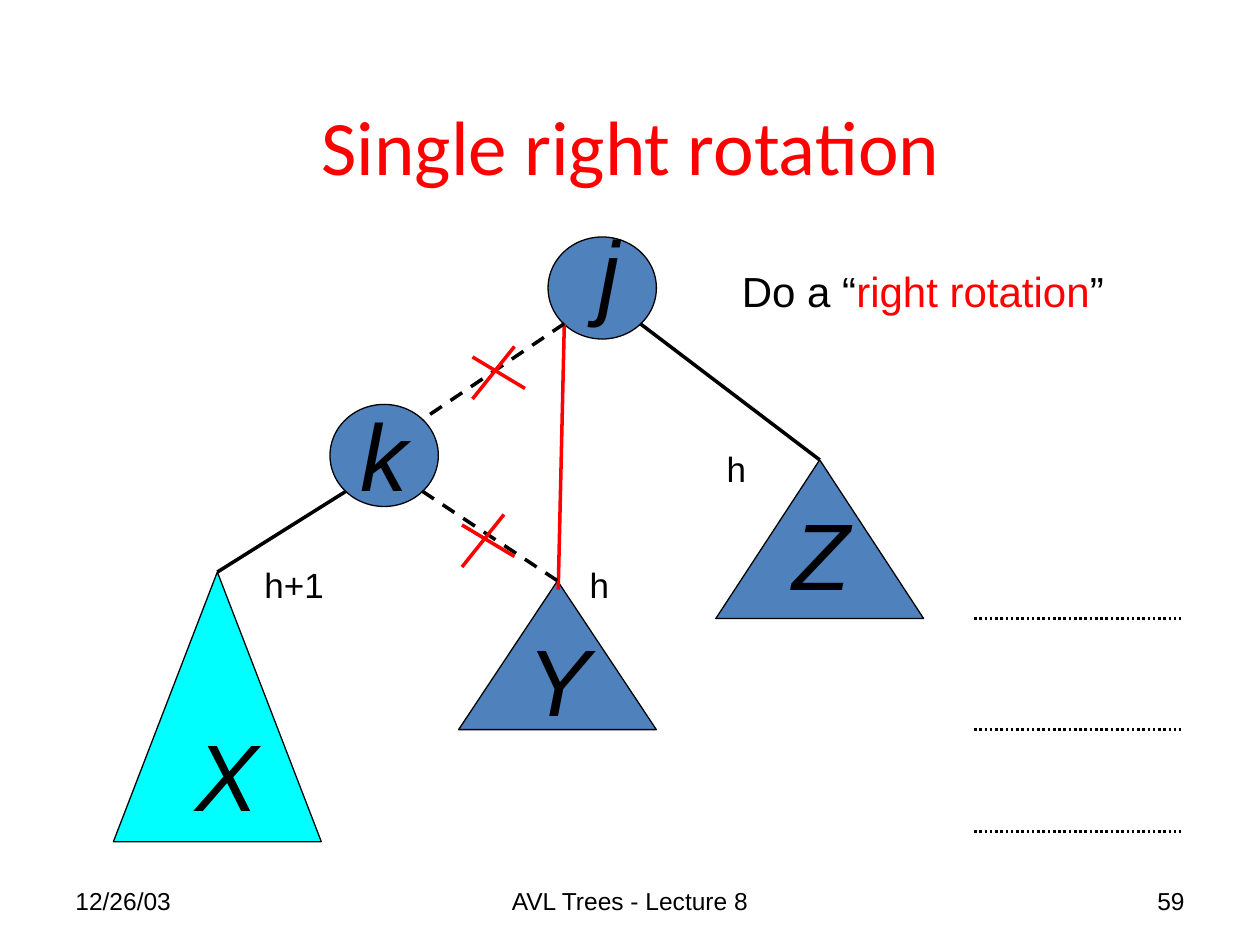
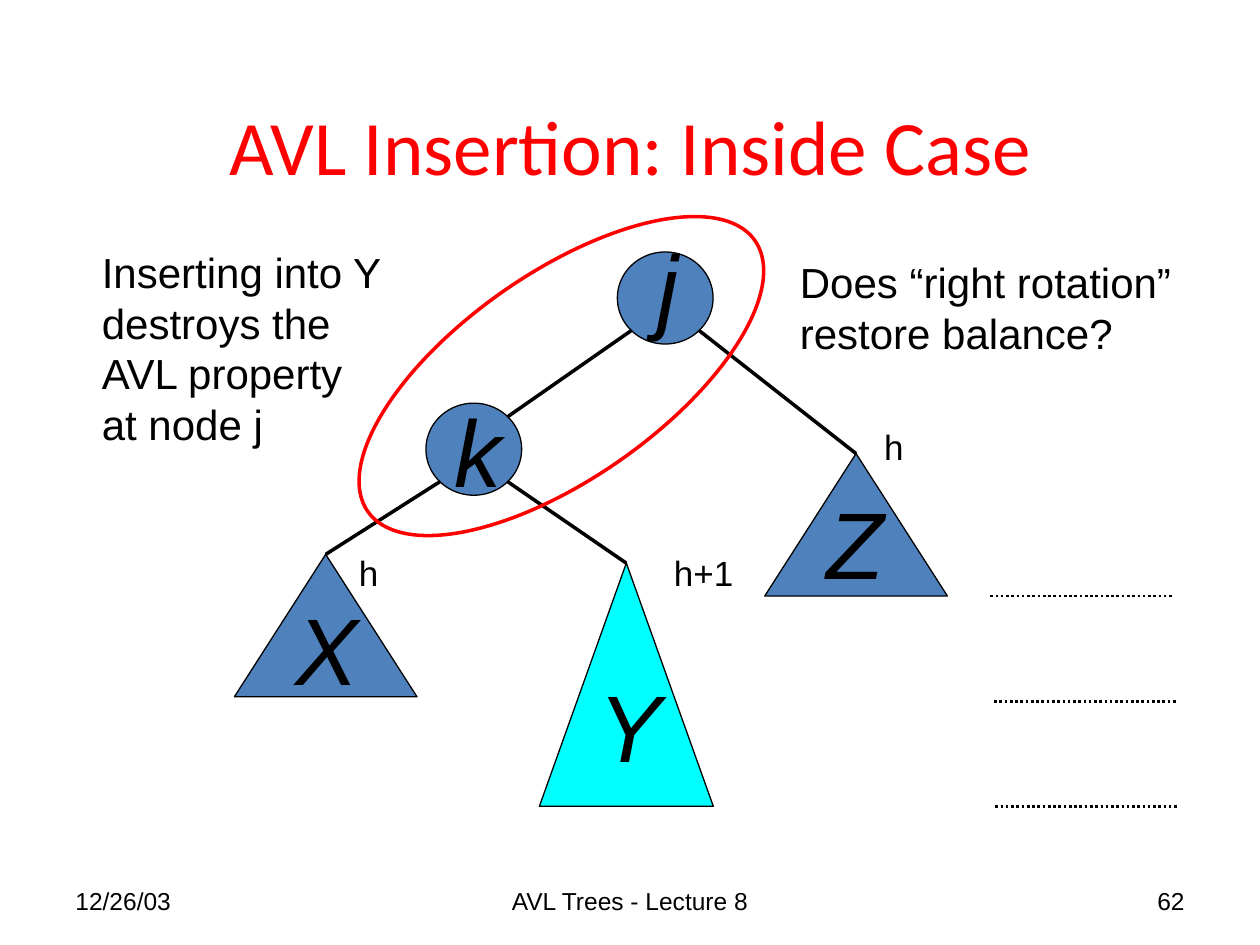
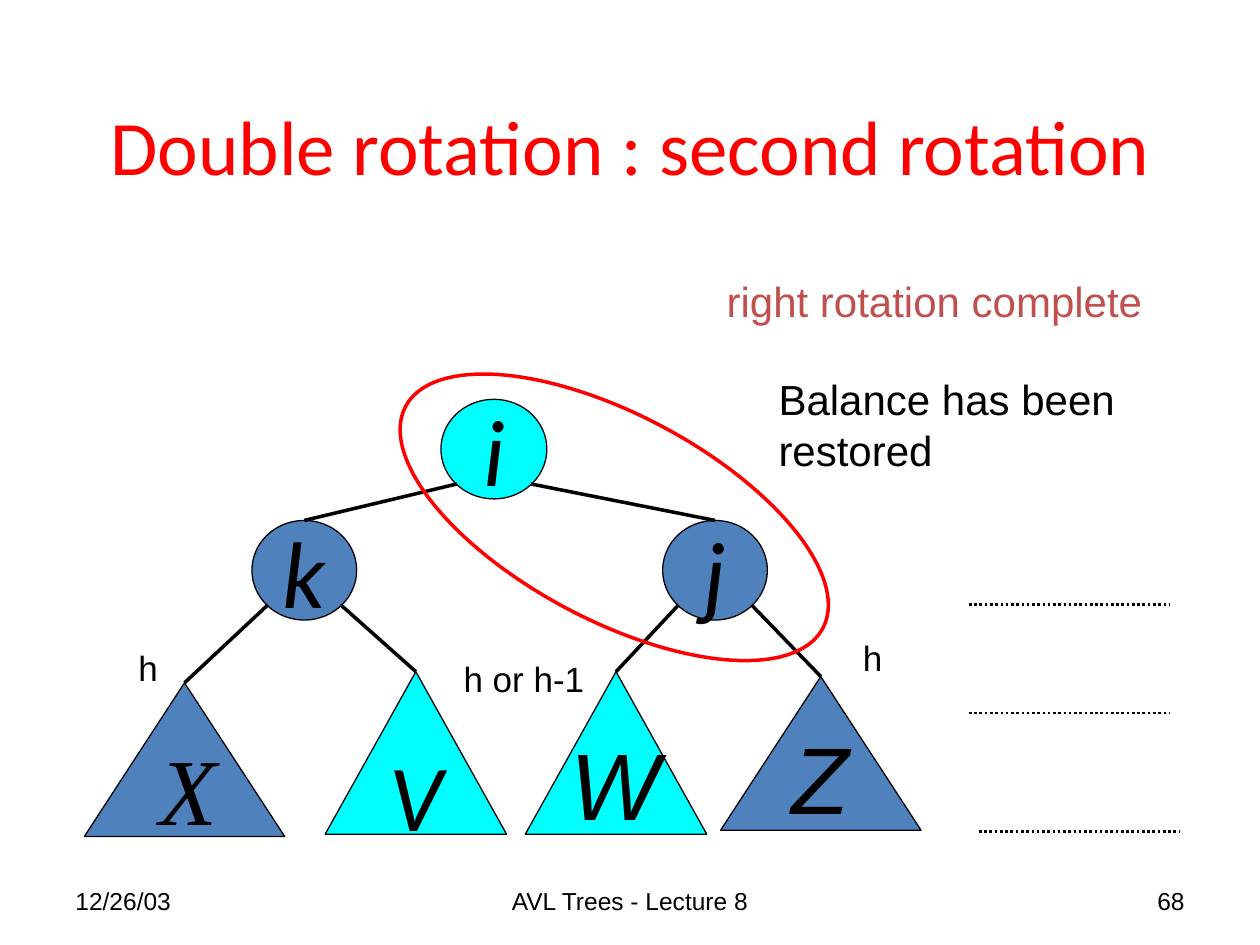
from lxml.etree import SubElement
from pptx import Presentation
from pptx.dml.color import RGBColor
from pptx.enum.dml import MSO_LINE
from pptx.enum.shapes import MSO_CONNECTOR, MSO_SHAPE
from pptx.enum.text import MSO_ANCHOR, MSO_AUTO_SIZE, PP_ALIGN
from pptx.oxml.ns import qn
from pptx.util import Pt

BLACK = RGBColor(0x00, 0x00, 0x00)
RED = RGBColor(0xFF, 0x00, 0x00)
BRICK = RGBColor(0xC0, 0x50, 0x4D)
BLUE = RGBColor(0x4F, 0x81, 0xBD)
CYAN = RGBColor(0x00, 0xFF, 0xFF)

SITES = {
    "top": (0.5, 0),
    "left foot": (0.15, 0.85),
    "right foot": (0.85, 0.85),
    "right shoulder": (0.85, 0.15),
}
FIXED = {"word_wrap": True, "vertical_anchor": MSO_ANCHOR.MIDDLE}
GROWING = {"word_wrap": True, "auto_size": MSO_AUTO_SIZE.SHAPE_TO_FIT_TEXT}
FREE = {"word_wrap": False, "auto_size": MSO_AUTO_SIZE.SHAPE_TO_FIT_TEXT}
CENTRED = {"word_wrap": False, "vertical_anchor": MSO_ANCHOR.MIDDLE}


def apply(target, values):
    for name, value in values.items():
        setattr(target, name, value)


def site(shape, name):
    across, down = SITES[name]
    return (int(shape.left + across * shape.width),
            int(shape.top + down * shape.height))


class TreeDeck:
    def __init__(self):
        self.presentation = Presentation()
        apply(self.presentation, {"slide_width": Pt(720), "slide_height": Pt(540)})
        self.slide = None

    def start(self, title, number):
        layout = self.presentation.slide_layouts[6]
        self.slide = self.presentation.slides.add_slide(layout)
        footers = (
            ("12/26/03", 36, 168, PP_ALIGN.LEFT),
            ("AVL Trees - Lecture 8", 246, 228, PP_ALIGN.CENTER),
            (number, 516, 168, PP_ALIGN.RIGHT),
        )
        for words, left, width, align in footers:
            self.label([words], (left, 500.4, width, 28.8), 14, FIXED, align=align)
        self.label([title], (52.6, 51.1, 615.6, 63.4), 44, FIXED, RED,
                   "Calibri", PP_ALIGN.CENTER)

    def fill_text(self, frame, lines, size, layout, color=BLACK, font="Arial",
                  align=PP_ALIGN.LEFT, italic=False, before=0):
        apply(frame, layout)
        for index, line in enumerate(lines):
            paragraph = frame.add_paragraph() if index else frame.paragraphs[0]
            apply(paragraph, {"alignment": align, "space_before": Pt(before)})
            runs = [(line, color)] if isinstance(line, str) else line
            for words, tint in runs:
                run = paragraph.add_run()
                run.text = words
                apply(run.font, {"size": Pt(size), "name": font, "italic": italic})
                run.font.color.rgb = tint

    def label(self, lines, area, size, layout, *style, **named):
        box = self.slide.shapes.add_textbox(*map(Pt, area))
        self.fill_text(box.text_frame, lines, size, layout, *style, **named)

    def note(self, lines, area, color=BLACK):
        self.label(lines, area, 24, FREE, color)

    def height(self, words, left, top, width=26):
        self.label([words], (left, top, width, 31), 20, FREE)

    def letter(self, name, left, top, width, font="Arial"):
        self.label([name], (left, top, width, 72), 54, GROWING,
                   font=font, italic=True, before=4.5)

    def outline(self, kind, area, fill, color, weight):
        shape = self.slide.shapes.add_shape(kind, *map(Pt, area))
        shape.shadow.inherit = False
        if fill is None:
            shape.fill.background()
        else:
            shape.fill.solid()
            shape.fill.fore_color.rgb = fill
        shape.line.color.rgb = color
        shape.line.width = Pt(weight)
        return shape

    def node(self, area, fill=BLUE, name=None):
        return self.named(MSO_SHAPE.OVAL, area, fill, name)

    def subtree(self, area, fill=BLUE, name=None):
        return self.named(MSO_SHAPE.ISOSCELES_TRIANGLE, area, fill, name)

    def named(self, kind, area, fill, name):
        shape = self.outline(kind, area, fill, BLACK, 0.75)
        if name:
            self.fill_text(shape.text_frame, [name], 54, CENTRED, font="Calibri",
                           align=PP_ALIGN.CENTER, italic=True)
        return shape

    def ring(self, left, top, rotation):
        ring = self.outline(MSO_SHAPE.OVAL, (left, top, 270, 117.4), None, RED, 2)
        ring.rotation = rotation

    def line(self, start, end, color=BLACK, weight=2, dash=None):
        line = self.slide.shapes.add_connector(MSO_CONNECTOR.STRAIGHT, *start, *end)
        line.line.color.rgb = color
        apply(line.line, {"width": Pt(weight), "dash_style": dash})
        SubElement(line._element.spPr, qn("a:effectLst"))

    def edge(self, parent, foot, child, end="top", dash=None):
        self.line(site(parent, foot), site(child, end), dash=dash)

    def levels(self, starts, length):
        for left, top in starts:
            self.line((Pt(left), Pt(top)), (Pt(left + length), Pt(top)),
                      weight=1.5, dash=MSO_LINE.ROUND_DOT)

    def cross(self, left, top):
        for x1, y1, x2, y2 in ((0, 6, 30, 24), (24, 0, 0, 30)):
            self.line((Pt(left + x1), Pt(top + y1)),
                      (Pt(left + x2), Pt(top + y2)), RED)


def single_rotation(deck):
    deck.start("Single right rotation", "59")
    j = deck.node((313.2, 135.4, 61.9, 58.3))
    k = deck.node((188.6, 231.1, 61.9, 58.3))
    x = deck.subtree((64.8, 326.9, 118.8, 154.1), CYAN)
    y = deck.subtree((262.1, 331.9, 113, 85))
    z = deck.subtree((409, 262.8, 118.8, 90.7))
    for name, left, top in (("j", 334.8, 118.8), ("k", 198.7, 223.2),
                            ("X", 104.4, 406.1), ("Y", 294.5, 352.1),
                            ("Z", 445.7, 280.1)):
        deck.letter(name, left, top, 38.2)
    deck.edge(k, "left foot", x)
    deck.edge(j, "right foot", z)
    deck.levels(((556.6, 353.5), (556.6, 416.9), (556.6, 475.2)), 118)
    deck.note([[("Do a “", BLACK), ("right rotation", RED), ("”", BLACK)]],
              (416.9, 148.3, 221, 36))
    deck.line(site(j, "left foot"), (Pt(319), Pt(337)), RED)
    deck.edge(j, "left foot", k, "right shoulder", MSO_LINE.DASH)
    deck.cross(270, 198)
    deck.edge(k, "right foot", y, dash=MSO_LINE.DASH)
    deck.cross(264, 294)
    deck.height("h", 408.2, 252)
    deck.height("h+1", 144, 318.2, 48.2)
    deck.height("h", 329.8, 318.2)


def inside_case(deck):
    deck.start("AVL Insertion: Inside Case", "62")
    deck.note(["Inserting into Y", "destroys the", "AVL property", "at node j"],
              (51.1, 137.5, 181.4, 122.4))
    j = deck.node((352.8, 144, 54.7, 52.6))
    k = deck.node((243.4, 230.4, 54.7, 52.6))
    x = deck.subtree((133.9, 316.8, 104.4, 81.4))
    y = deck.subtree((308.2, 321.8, 99.4, 139), CYAN)
    z = deck.subtree((437, 259.2, 104.4, 81.4))
    for name, left, top in (("j", 368.6, 126.7), ("k", 252.7, 221),
                            ("X", 162, 334.1), ("Y", 334.8, 378),
                            ("Z", 465.1, 273.6)):
        deck.letter(name, left, top, 33.1)
    deck.edge(j, "left foot", k, "right shoulder")
    deck.edge(k, "left foot", x)
    deck.edge(k, "right foot", y)
    deck.edge(j, "right foot", z)
    deck.levels(((565.9, 340.6), (568.1, 401), (568.8, 460.8)), 104.4)
    deck.note(["Does “right rotation”", "restore balance?"],
              (450, 143.3, 226.8, 64.8))
    deck.ring(185.8, 156.2, 325)
    deck.height("h", 498.2, 239.8)
    deck.height("h+1", 378, 311.8, 48.2)
    deck.height("h", 198, 311.8)


def second_rotation(deck):
    deck.start("Double rotation : second rotation", "68")
    j = deck.node((378.7, 297.4, 59.8, 56.9), name="j")
    k = deck.node((144, 297.4, 59.8, 56.9), name="k")
    i = deck.node((252, 228.2, 60.5, 56.9), CYAN, "i")
    x = deck.subtree((48.2, 390.2, 114.5, 87.8))
    v = deck.subtree((185.8, 383.8, 103.7, 92.9), CYAN, "V")
    w = deck.subtree((300.2, 383.8, 103.7, 92.9), CYAN)
    z = deck.subtree((411.8, 386.6, 114.5, 87.8))
    deck.letter("X", 84.2, 414, 36.7, "Times New Roman")
    deck.letter("Z", 445, 408.2, 36.7)
    deck.letter("W", 319, 411.1, 36.7)
    for parent, left, right in ((i, k, j), (k, x, v), (j, w, z)):
        deck.edge(parent, "left foot", left)
        deck.edge(parent, "right foot", right)
    deck.levels(((553.7, 345.6), (553.7, 407.5), (559.4, 475.2)), 114.5)
    deck.ring(216, 236.9, 28)
    deck.note(["right rotation complete"], (408.2, 154.1, 252, 36), BRICK)
    deck.note(["Balance has been", "restored"], (437.8, 210.2, 213.8, 64.8))
    deck.height("h", 486, 360)
    deck.height("h", 72, 365.8)
    deck.height("h or h-1", 257.8, 372.2, 83.5)


def main():
    deck = TreeDeck()
    for build in (single_rotation, inside_case, second_rotation):
        build(deck)
    deck.presentation.save("out.pptx")


if __name__ == "__main__":
    main()
